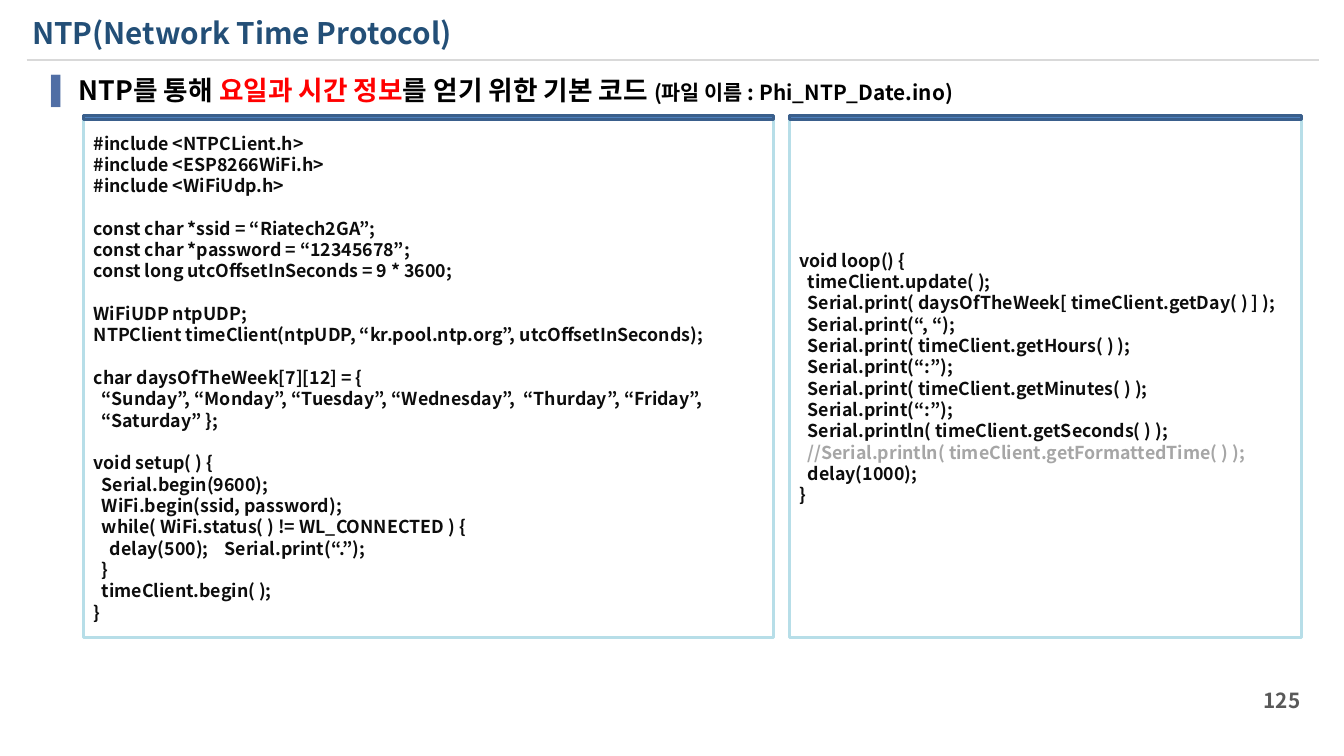
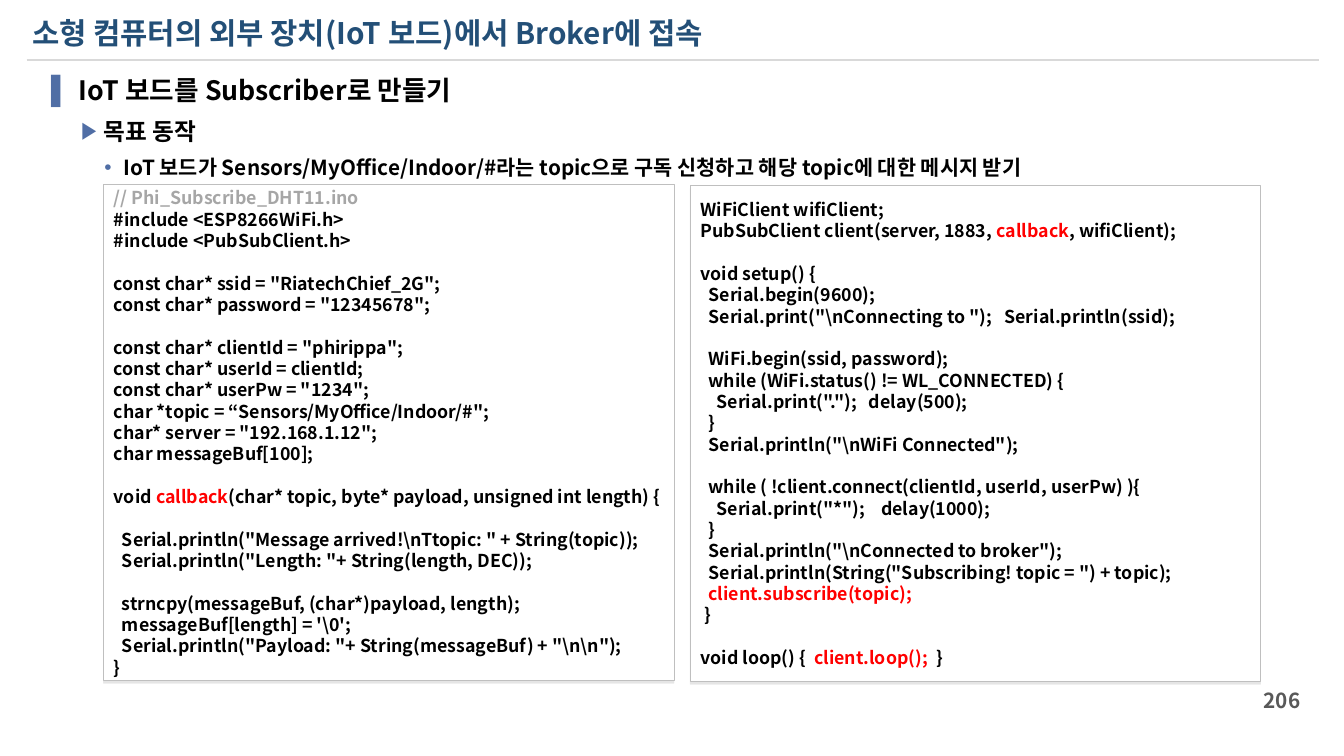
from dataclasses import dataclass

from lxml.etree import SubElement
from pptx import Presentation
from pptx.dml.color import RGBColor
from pptx.enum.shapes import MSO_CONNECTOR, MSO_SHAPE
from pptx.enum.text import MSO_ANCHOR, MSO_AUTO_SIZE, PP_ALIGN
from pptx.oxml.ns import qn
from pptx.util import Pt


@dataclass(frozen=True)
class Theme:
    font: str = "Noto Sans CJK KR"
    title: str = "234F77"
    rule: str = "D9D9D9"
    bullet: str = "506EA5"
    text: str = "000000"
    code: str = "0D0D0D"
    red: str = "FF0000"
    muted: str = "A6A6A6"
    number: str = "595959"
    white: str = "FFFFFF"
    frame: str = "B7DEE8"
    bar: str = "4F81BD"
    bar_line: str = "3A5F8C"
    card_line: str = "BFBFBF"
    title_size: float = 20
    body_sizes: tuple = (18, 16, 14)
    note_size: float = 14
    code_size: float = 12
    leading: float = 1.2


T = Theme()
RED = {"color": T.red}
MUTED = {"color": T.muted}

TITLE_BOX = (14.4, 6.5, 854, 31.7)
BODY_BOX = (20.9, 46.4, 876, 137.5)
NUMBER_BOX = (817.2, 459.4, 67.7, 27.4)
# left margin, hanging indent, space before, bullet
LEVELS = ((25.2, -25.2, 14, "▐"), (41.8, -15.1, 7, "▶"), (55.4, -13, 7, "•"))

NTP_SETUP = r"""#include <NTPCLient.h>
#include <ESP8266WiFi.h>
#include <WiFiUdp.h>

const char *ssid = “Riatech2GA”;
const char *password = “12345678”;
const long utcOffsetInSeconds = 9 * 3600;

WiFiUDP ntpUDP;
NTPClient timeClient(ntpUDP, “kr.pool.ntp.org”, utcOffsetInSeconds);

char daysOfTheWeek[7][12] = {
  “Sunday”, “Monday”, “Tuesday”, “Wednesday”,  “Thurday”, “Friday”,
  “Saturday” };

void setup( ) {
  Serial.begin(9600);
  WiFi.begin(ssid, password);
  while( WiFi.status( ) != WL_CONNECTED ) {
    delay(500);    Serial.print(“.”);
  }
  timeClient.begin( );
}"""

NTP_LOOP = r"""void loop() {
  timeClient.update( );
  Serial.print( daysOfTheWeek[ timeClient.getDay( ) ] );
  Serial.print(“, “);
  Serial.print( timeClient.getHours( ) );
  Serial.print(“:”);
  Serial.print( timeClient.getMinutes( ) );
  Serial.print(“:”);
  Serial.println( timeClient.getSeconds( ) );
  //Serial.println( timeClient.getFormattedTime( ) );
  delay(1000);
}"""

MQTT_CALLBACK = r"""// Phi_Subscribe_DHT11.ino
#include <ESP8266WiFi.h>
#include <PubSubClient.h>

const char* ssid = "RiatechChief_2G";
const char* password = "12345678";

const char* clientId = "phirippa";
const char* userId = clientId;
const char* userPw = "1234";
char *topic = “Sensors/MyOffice/Indoor/#";
char* server = "192.168.1.12";
char messageBuf[100];

void callback(char* topic, byte* payload, unsigned int length) {

  Serial.println("Message arrived!\nTtopic: " + String(topic));
  Serial.println("Length: "+ String(length, DEC));

  strncpy(messageBuf, (char*)payload, length);
  messageBuf[length] = '\0';
  Serial.println("Payload: "+ String(messageBuf) + "\n\n");
}"""

MQTT_SETUP = r"""WiFiClient wifiClient;
PubSubClient client(server, 1883, callback, wifiClient);

void setup() {
  Serial.begin(9600);
  Serial.print("\nConnecting to ");   Serial.println(ssid);

  WiFi.begin(ssid, password);
  while (WiFi.status() != WL_CONNECTED) {
    Serial.print(".");   delay(500);
  }
  Serial.println("\nWiFi Connected");

  while ( !client.connect(clientId, userId, userPw) ){
    Serial.print("*");    delay(1000);
  }
  Serial.println("\nConnected to broker");
  Serial.println(String("Subscribing! topic = ") + topic);
  client.subscribe(topic);
 }

void loop() {  client.loop();  }"""


def rgb(color):
    return RGBColor.from_string(color)


def place(sp, box):
    for name, value in zip(("left", "top", "width", "height"), box):
        setattr(sp, name, Pt(value))


def add_runs(p, text, fmt, marks=None):
    """Add text to p; each phrase in marks gets its own format over fmt."""
    marks = marks or {}
    phrase = next((m for m in marks if m in text), None)
    if phrase:
        before, _, after = text.partition(phrase)
        add_runs(p, before, fmt, marks)
        add_runs(p, phrase, fmt | marks[phrase])
        add_runs(p, after, fmt, marks)
    elif text:
        r = p.add_run()
        r.text = text
        font = {"size": Pt(fmt["size"]), "bold": True, "name": T.font}
        for name, value in font.items():
            setattr(r.font, name, value)
        r.font.color.rgb = rgb(fmt["color"])
        SubElement(r._r.get_or_add_rPr(), qn("a:ea"), typeface=T.font)


def set_spacing(p, size, before=0):
    p.line_spacing = Pt(size * T.leading)
    p.space_before = Pt(before)
    p.space_after = Pt(0)


def set_frame(tf, anchor, **margins):
    settings = {"word_wrap": True, "auto_size": MSO_AUTO_SIZE.NONE,
                "vertical_anchor": anchor}
    settings |= {f"margin_{side}": Pt(v) for side, v in margins.items()}
    for name, value in settings.items():
        setattr(tf, name, value)


def add_title(slide, box, text):
    sp = slide.shapes.title
    place(sp, box)
    set_frame(sp.text_frame, MSO_ANCHOR.MIDDLE)
    p = sp.text_frame.paragraphs[0]
    p.alignment = PP_ALIGN.LEFT
    set_spacing(p, T.title_size)
    add_runs(p, text, {"size": T.title_size, "color": T.title})


def add_body(slide, box, items, marks=None):
    """Fill the body with items, one outline level deeper each."""
    sp = slide.placeholders[1]
    place(sp, box)
    tf = sp.text_frame
    set_frame(tf, MSO_ANCHOR.TOP)
    for i, text in enumerate(items):
        p = tf.add_paragraph() if i else tf.paragraphs[0]
        margin, indent, before, bullet = LEVELS[i]
        size = T.body_sizes[i]
        p.level = i
        set_spacing(p, size, before if i else 0)
        pPr = p._p.get_or_add_pPr()
        pPr.set("marL", str(Pt(margin)))
        pPr.set("indent", str(Pt(indent)))
        SubElement(SubElement(pPr, qn("a:buClr")), qn("a:srgbClr"), val=T.bullet)
        SubElement(pPr, qn("a:buChar"), char=bullet)
        add_runs(p, text, {"size": size, "color": T.text}, marks)


def add_number(slide, box, number):
    tf = slide.shapes.add_textbox(*map(Pt, box)).text_frame
    set_frame(tf, MSO_ANCHOR.MIDDLE)
    p = tf.paragraphs[0]
    p.alignment = PP_ALIGN.RIGHT
    add_runs(p, str(number), {"size": T.note_size, "color": T.number})


def add_rule(prs, layout_slide):
    """Draw the line under the title once and move it to the shared layout."""
    ends = (18, 40.3, 890, 40.3)
    line = layout_slide.shapes.add_connector(MSO_CONNECTOR.STRAIGHT, *map(Pt, ends))
    line.line.color.rgb = rgb(T.rule)
    line.line.width = Pt(1.5)
    SubElement(line.element.spPr, qn("a:effectLst"))
    layout_slide.slide_layout.shapes.element.append(line.element)


def add_rect(slide, box, fill, line, width):
    sp = slide.shapes.add_shape(MSO_SHAPE.RECTANGLE, *map(Pt, box))
    sp.shadow.inherit = False
    if fill:
        sp.fill.solid()
        sp.fill.fore_color.rgb = rgb(fill)
    else:
        sp.fill.background()
    sp.line.color.rgb = rgb(line)
    sp.line.width = Pt(width)
    return sp


def add_code(sp, code, color, marks=None):
    """Write code into sp; an empty line becomes space before the next one."""
    tf = sp.text_frame
    set_frame(tf, MSO_ANCHOR.MIDDLE, left=7.2, right=0, top=3.6, bottom=3.6)
    p, gap = tf.paragraphs[0], 0
    for i, text in enumerate(code.splitlines()):
        if not text.strip():
            gap += T.code_size * T.leading
            continue
        p = tf.add_paragraph() if i else p
        p.alignment = PP_ALIGN.LEFT
        set_spacing(p, T.code_size, gap)
        add_runs(p, text, {"size": T.code_size, "color": color}, marks)
        gap = 0


def add_barred_panel(slide, box, code, marks=None):
    left, top, width, _ = box
    add_code(add_rect(slide, box, None, T.frame, 2), code, T.code, marks)
    add_rect(slide, (left, top - 1.4, width, 2.9), T.bar, T.bar_line, 2)


def add_card_panel(slide, box, code, marks=None):
    sp = add_rect(slide, box, T.white, T.card_line, 0.25)
    effects = sp.element.spPr.find(qn("a:effectLst"))
    shadow = SubElement(effects, qn("a:outerShdw"), blurRad="0", dist=str(Pt(2)),
                        dir="5400000", algn="t", rotWithShape="0")
    tint = SubElement(shadow, qn("a:srgbClr"), val=T.text)
    SubElement(tint, qn("a:alpha"), val="10000")
    add_code(sp, code, T.text, marks)


def add_code_slide(prs, title, number, items, marks, add_panel, panels):
    slide = prs.slides.add_slide(prs.slide_layouts[1])
    add_title(slide, TITLE_BOX, title)
    add_body(slide, BODY_BOX, items, marks)
    add_number(slide, NUMBER_BOX, number)
    for panel in panels:
        add_panel(slide, *panel)
    return slide


def main():
    prs = Presentation()
    prs.slide_width, prs.slide_height = Pt(907.2), Pt(510.5)

    file_note = "(파일 이름 : Phi_NTP_Date.ino)"
    first = add_code_slide(
        prs, "NTP(Network Time Protocol)", 125,
        [f"NTP를 통해 요일과 시간 정보를 얻기 위한 기본 코드 {file_note}"],
        {"요일과 시간 정보": RED, file_note: {"size": T.note_size}},
        add_barred_panel,
        [((56.2, 79.2, 465.8, 351.4), NTP_SETUP),
         ((532.8, 79.2, 345.6, 351.4), NTP_LOOP,
          {"//Serial.println( timeClient.getFormattedTime( ) );": MUTED})])
    add_rule(prs, first)

    add_code_slide(
        prs, "소형 컴퓨터의 외부 장치(IoT 보드)에서 Broker에 접속", 206,
        ["IoT 보드를 Subscriber로 만들기", "목표 동작",
         "IoT 보드가 Sensors/MyOffice/Indoor/#라는 topic으로 구독 신청하고 "
         "해당 topic에 대한 메시지 받기"],
        None, add_card_panel,
        [((69.8, 124.6, 385.2, 334.8), MQTT_CALLBACK,
          {"// Phi_Subscribe_DHT11.ino": MUTED, "callback": RED}),
         ((465.8, 125.3, 385.2, 334.8), MQTT_SETUP,
          {"callback": RED, "client.subscribe(topic);": RED, "client.loop();": RED})])

    prs.save("out.pptx")


if __name__ == "__main__":
    main()
